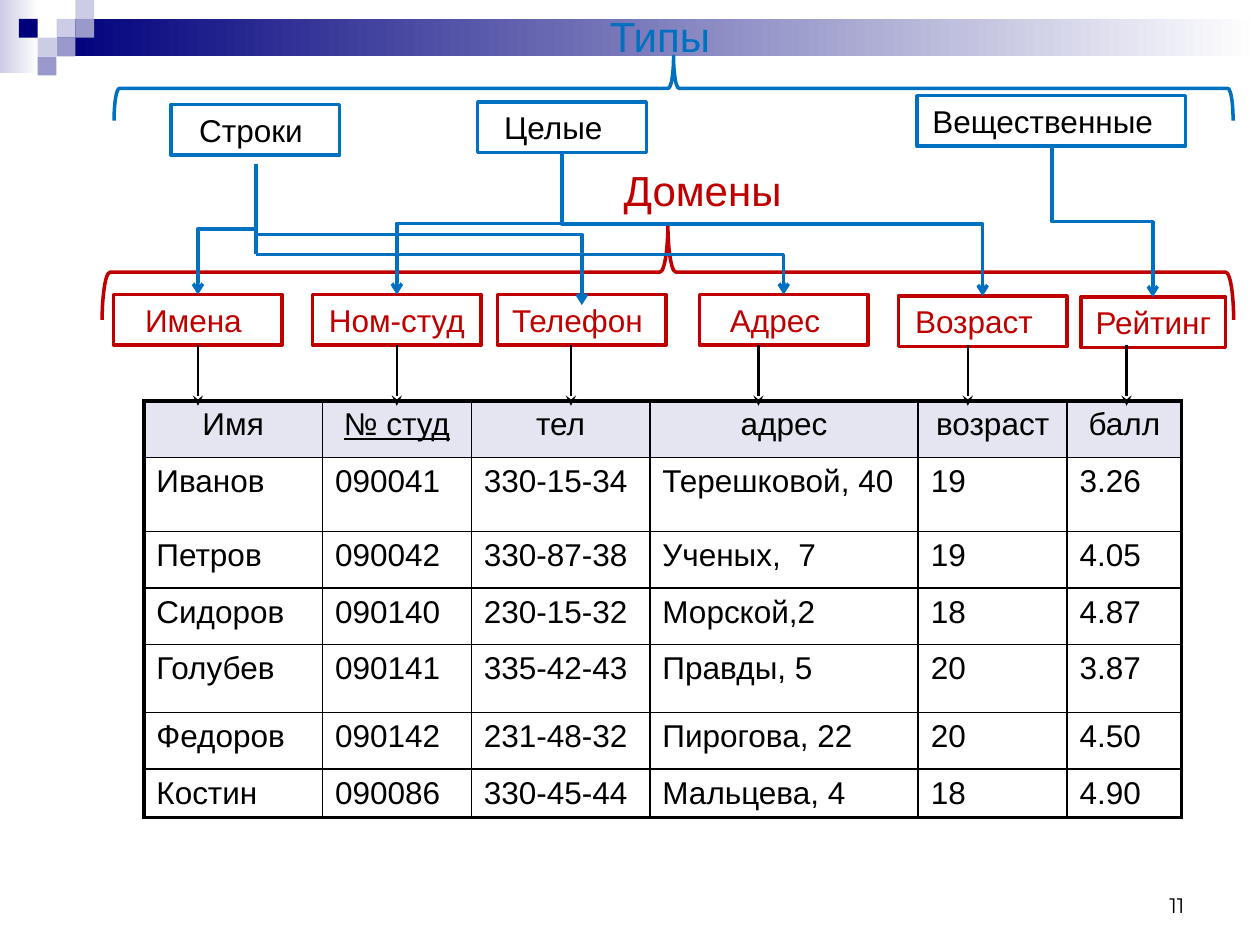
from dataclasses import dataclass

from lxml import etree
from pptx import Presentation
from pptx.dml.color import RGBColor
from pptx.enum.shapes import MSO_CONNECTOR, MSO_SHAPE
from pptx.enum.text import MSO_ANCHOR, PP_ALIGN
from pptx.oxml.ns import qn
from pptx.util import Cm, Pt

RECTANGLE, BRACE = MSO_SHAPE.RECTANGLE, MSO_SHAPE.RIGHT_BRACE
STRAIGHT, ELBOW = MSO_CONNECTOR.STRAIGHT, MSO_CONNECTOR.ELBOW
LEFT, CENTER, RIGHT, JUSTIFY = PP_ALIGN.LEFT, PP_ALIGN.CENTER, PP_ALIGN.RIGHT, PP_ALIGN.JUSTIFY
TOP, BOTTOM = MSO_ANCHOR.TOP, MSO_ANCHOR.BOTTOM
BOTTOM_SITE = 2


@dataclass(frozen=True)
class Theme:
    font: str = "Arial"
    number_font: str = "Montserrat"
    body: int = 18
    title: int = 24
    number: int = 12
    black: str = "000000"
    white: str = "FFFFFF"
    blue: str = "0070C0"
    red: str = "C00000"
    navy: str = "00007D"
    lilac: str = "CCCCE6"
    violet: str = "9999CC"
    outline: float = 2
    arrow: float = 1.5
    grid: float = 1
    frame: float = 2.25


HEADERS = ["Имя", "№ студ", "тел", "адрес", "возраст", "балл"]
STUDENTS = [
    ["Иванов", "090041", "330-15-34", "Терешковой, 40", "19", "3.26"],
    ["Петров", "090042", "330-87-38", "Ученых,  7", "19", "4.05"],
    ["Сидоров", "090140", "230-15-32", "Морской,2", "18", "4.87"],
    ["Голубев", "090141", "335-42-43", "Правды, 5", "20", "3.87"],
    ["Федоров", "090142", "231-48-32", "Пирогова, 22", "20", "4.50"],
    ["Костин", "090086", "330-45-44", "Мальцева, 4", "18", "4.90"],
]
COLUMN_WIDTHS = [3.6, 3.0, 3.6, 5.41, 3.0, 2.31]
ROW_HEIGHTS = [1.14, 1.5, 1.14, 1.14, 1.37, 1.14, 0.97]
BOX_HEIGHT = 1.02
# text, left, top, width, text shift
DOMAINS = [
    ("Имена", 2.29, 5.94, 3.4, 0.18),
    ("Ном-студ", 6.3, 5.94, 3.4, 0),
    ("Телефон", 10.03, 5.94, 3.4, 0.18),
    ("Адрес", 14.1, 5.94, 3.4, 0.35),
    ("Возраст", 18.11, 5.97, 3.4, 0.35),
    ("Рейтинг", 21.79, 5.99, 2.92, 0),
]
TYPES = [
    ("Строки", 3.45, 2.11, 3.4, 0.18),
    ("Целые", 9.63, 2.06, 3.4, 0.35),
    ("Вещественные", 18.49, 1.93, 5.41, 0.35),
]
COLUMN_ARROWS = [3.99, 8.0, 11.51, 15.29, 19.51, 22.71]
JOINED_ARROWS = 2


class Builder:
    def __init__(self, page, theme):
        self.page, self.theme = page, theme

    def add_span(self, frame, text, size, color, align=CENTER, font=None, underline=False):
        para = frame.paragraphs[0]
        para.alignment = align
        span = para.add_run()
        span.text = text
        span.font.name = font or self.theme.font
        span.font.size = Pt(size)
        span.font.color.rgb = RGBColor.from_string(color)
        if underline:
            span.font.underline = True

    def shape(self, kind, left, top, width, height, color=None):
        """Add an unfilled shape, outlined when a colour is given."""
        shape = self.page.shapes.add_shape(kind, Cm(left), Cm(top), Cm(width), Cm(height))
        shape.shadow.inherit = False
        shape.fill.background()
        if color:
            shape.line.color.rgb = RGBColor.from_string(color)
            shape.line.width = Pt(self.theme.outline)
        else:
            shape.line.fill.background()
        return shape

    def block(self, left, top, width, height, color, fade_to=None):
        fill = self.shape(RECTANGLE, left, top, width, height).fill
        if fade_to:
            fill.gradient()
            fill.gradient_angle = 0
            for stop, shade in zip(fill.gradient_stops, (color, fade_to)):
                stop.color.rgb = RGBColor.from_string(shade)
        else:
            fill.solid()
            fill.fore_color.rgb = RGBColor.from_string(color)

    def label_box(self, text, left, top, width, shift, line_color, text_color):
        """Add an outlined box; shift widens the right inset to move the text left."""
        box = self.shape(RECTANGLE, left, top, width, BOX_HEIGHT, line_color)
        frame = box.text_frame
        frame.word_wrap = True
        frame.vertical_anchor = TOP
        frame.margin_right = Cm(0.25 + shift)
        self.add_span(frame, text, self.theme.body, text_color)
        return box

    def text(self, text, left, top, width, height, size, color,
             align=CENTER, anchor=TOP, font=None, shift=0):
        frame = self.page.shapes.add_textbox(Cm(left), Cm(top), Cm(width), Cm(height)).text_frame
        frame.word_wrap = True
        frame.vertical_anchor = anchor
        frame.margin_right = Cm(0.25 + shift)
        self.add_span(frame, text, size, color, align, font)

    def brace(self, left, top, width, height, color):
        """Add a brace that opens downwards over the given area."""
        middle_x, middle_y = left + width / 2, top + height / 2
        brace = self.shape(BRACE, middle_x - height / 2, middle_y - width / 2, height, width, color)
        brace.rotation = 270

    def line(self, start, end, color, width, head=None, kind=STRAIGHT):
        line = self.page.shapes.add_connector(kind, *map(Cm, (*start, *end)))
        line.line.color.rgb = RGBColor.from_string(color)
        line.line.width = Pt(width)
        properties = line.element.spPr
        if head:
            etree.SubElement(properties.find(qn("a:ln")), qn("a:tailEnd"), type=head)
        etree.SubElement(properties, qn("a:effectLst"))
        return line

    def drop(self, start, end, color):
        """Add an elbow arrow that goes down, sideways and down again."""
        (x1, y1), (x2, y2) = start, end
        middle_x, middle_y = (x1 + x2) / 2, (y1 + y2) / 2
        half_width, half_height = (y2 - y1) / 2, abs(x2 - x1) / 2
        line = self.line((middle_x - half_width, middle_y - half_height),
                         (middle_x + half_width, middle_y + half_height),
                         color, self.theme.outline, "arrow", ELBOW)
        transform = line.element.spPr.find(qn("a:xfrm"))
        transform.set("rot", str((270 if x2 > x1 else 90) * 60000))
        if x2 > x1:
            transform.set("flipH", "1")

    def corner(self, start, end, color):
        """Add an arrow that goes sideways, then down."""
        line = self.line(start, end, color, self.theme.outline, "arrow", ELBOW)
        line.element.spPr.find(qn("a:prstGeom")).set("prst", "bentConnector2")

    def borders(self, cell, widths):
        properties = cell._tc.get_or_add_tcPr()
        for index, (side, width) in enumerate(zip("LRTB", widths)):
            edge = etree.Element(qn(f"a:ln{side}"), w=str(Pt(width)))
            fill = etree.SubElement(edge, qn("a:solidFill"))
            etree.SubElement(fill, qn("a:srgbClr"), val=self.theme.black)
            properties.insert(index, edge)

    def table(self, left, top, rows, widths, heights):
        theme = self.theme
        table = self.page.shapes.add_table(len(rows), len(widths), Cm(left), Cm(top),
                                           Cm(sum(widths)), Cm(sum(heights))).table
        table.first_row = table.horz_banding = False
        for column, width in zip(table.columns, widths):
            column.width = Cm(width)
        for row, height in zip(table.rows, heights):
            row.height = Cm(height)
        last_row, last_column = len(rows) - 1, len(widths) - 1
        for r, values in enumerate(rows):
            for c, value in enumerate(values):
                cell = table.cell(r, c)
                if r == 0:
                    align = CENTER
                    cell.fill.solid()
                    cell.fill.fore_color.rgb = RGBColor.from_string(theme.lilac)
                    shade = next(cell._tc.tcPr.iter(qn("a:srgbClr")))
                    etree.SubElement(shade, qn("a:alpha"), val="50000")
                else:
                    align = LEFT if c == 2 and r > 1 else JUSTIFY
                    cell.fill.background()
                outer = (c == 0, c == last_column, r == 0, r == last_row)
                self.borders(cell, [theme.frame if edge else theme.grid for edge in outer])
                self.add_span(cell.text_frame, value, theme.body, theme.black, align,
                              underline=(r, c) == (0, 1))


def draw_header(build, theme):
    build.block(0, 0, 0.79, 1.47, theme.lilac, theme.white)
    build.block(1.14, 0.38, 24.26, 0.76, theme.navy, theme.white)
    side = 0.38
    squares = [(3, 1, theme.lilac), (4, 0, theme.lilac), (4, 1, theme.violet), (2, 2, theme.lilac),
               (1, 1, theme.navy), (3, 2, theme.violet), (2, 3, theme.violet)]
    for column, row, color in squares:
        build.block(column * side, row * side, side, side, color)


def main():
    theme = Theme()
    deck = Presentation()
    deck.slide_width, deck.slide_height = Cm(25.4), Cm(19.05)
    build = Builder(deck.slides.add_slide(deck.slide_layouts[6]), theme)

    draw_header(build, theme)
    build.table(2.9, 8.08, [HEADERS, *STUDENTS], COLUMN_WIDTHS, ROW_HEIGHTS)
    domains = [build.label_box(*item, theme.red, theme.red) for item in DOMAINS]
    build.brace(2.06, 4.52, 22.81, 1.93, theme.red)
    build.text("Домены", 11.73, 3.2, 5.11, 1.3, theme.title, theme.red, shift=0.24)
    for item in TYPES:
        build.label_box(*item, theme.blue, theme.black)

    for index, (x, box) in enumerate(zip(COLUMN_ARROWS, domains)):
        arrow = build.line((x, 6.96), (x, 8.18), theme.black, theme.arrow, "stealth")
        if index < JOINED_ARROWS:
            arrow.begin_connect(box, BOTTOM_SITE)

    strings, integers, reals = (5.16, 3.3), (11.33, 3.07), (21.21, 2.95)
    branch = (5.16, 5.13)
    build.drop(strings, (3.99, 5.94), theme.blue)
    build.drop(strings, (11.73, 6.15), theme.blue)
    build.corner(branch, (15.8, 5.94), theme.blue)
    build.line(branch, (5.16, 4.6), theme.blue, theme.outline)
    build.drop(reals, (23.24, 5.99), theme.blue)
    build.drop(integers, (8.0, 5.94), theme.blue)
    build.drop(integers, (19.81, 5.97), theme.blue)

    build.text("Типы", 10.87, 0.08, 5.11, 1.27, theme.title, theme.blue, shift=0.24)
    build.brace(2.3, 1.13, 22.56, 1.3, theme.blue)
    build.text("11", 18.21, 17.35, 5.92, 1.27, theme.number, theme.black,
               RIGHT, BOTTOM, theme.number_font)
    deck.save("out.pptx")


if __name__ == "__main__":
    main()
